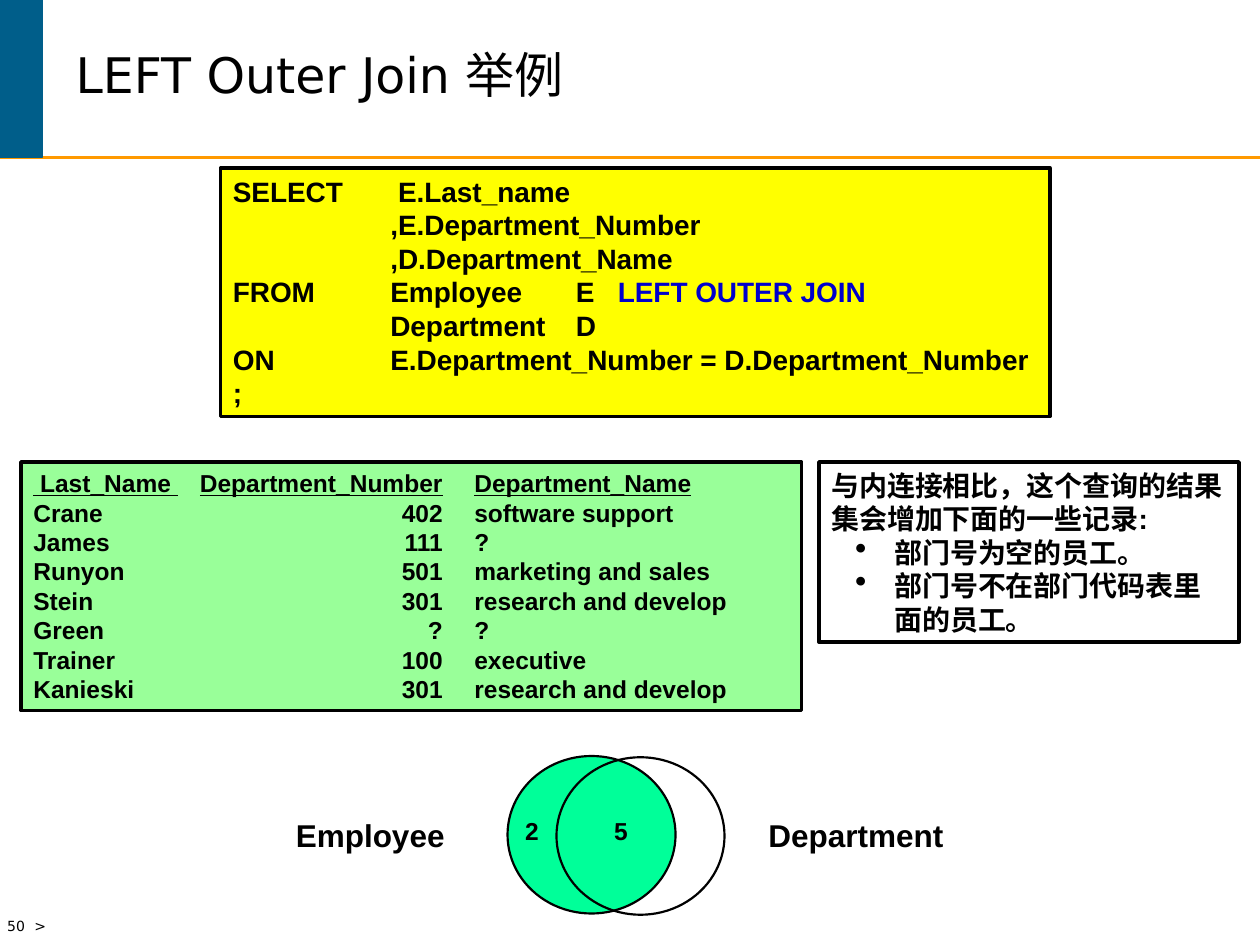
from lxml import etree
from pptx import Presentation
from pptx.dml.color import RGBColor
from pptx.enum.shapes import MSO_CONNECTOR, MSO_SHAPE
from pptx.enum.text import MSO_ANCHOR, PP_ALIGN
from pptx.oxml.ns import qn
from pptx.util import Pt

RECT, OVAL = MSO_SHAPE.RECTANGLE, MSO_SHAPE.OVAL
STRAIGHT = MSO_CONNECTOR.STRAIGHT
TOP, MIDDLE = MSO_ANCHOR.TOP, MSO_ANCHOR.MIDDLE
LEFT = PP_ALIGN.LEFT

COLORS = {
    "text": "000000", "keyword": "0000CC", "bar": "005E8A", "rule": "FF9900",
    "query": "FFFF00", "result": "99FF99", "note": "FFFFFF", "matched": "00FF99",
}
BODY_FONT, TITLE_FONT = "Arial", "DejaVu Sans"

QUERY = [
    ["SELECT\t E.Last_name"],
    ["\t,E.Department_Number"],
    ["\t,D.Department_Name"],
    ["FROM\tEmployee\tE\t", "LEFT OUTER JOIN"],
    ["\tDepartment\tD"],
    ["ON\tE.Department_Number = D.Department_Number"],
    [";"],
]
HEADINGS = [" Last_Name ", "\t", "Department_Number", "\t", "Department_Name"]
EMPLOYEES = [
    ("Crane", "402", "software support"),
    ("James", "111", "?"),
    ("Runyon", "501", "marketing and sales"),
    ("Stein", "301", "research and develop"),
    ("Green", "?", "?"),
    ("Trainer", "100", "executive"),
    ("Kanieski", "301", "research and develop"),
]
NOTE = "与内连接相比，这个查询的结果集会增加下面的一些记录:"
ADDED_RECORDS = ["部门号为空的员工。", "部门号不在部门代码表里面的员工。"]


def rgb(name):
    return RGBColor.from_string(COLORS[name])


def add_tabs(paragraph, stops):
    tab_list = etree.SubElement(paragraph._p.get_or_add_pPr(), qn("a:tabLst"))
    for position, align in stops:
        etree.SubElement(tab_list, qn("a:tab"), pos=str(Pt(position)), algn=align)


def add_bullet(paragraph):
    props = paragraph._p.get_or_add_pPr()
    props.set("marL", str(Pt(36)))
    props.set("indent", str(Pt(-22.5)))
    etree.SubElement(props, qn("a:buSzPct"), val="120000")
    etree.SubElement(props, qn("a:buChar"), char="•")


def style_runs(paragraph, size, font=BODY_FONT, bold=True):
    paragraph.alignment = LEFT
    for run in paragraph.runs:
        run.font.size, run.font.name, run.font.bold = Pt(size), font, bold
        run.font.color.rgb = rgb("text")


def fill_text(frame, lines, size, stops=(), font=BODY_FONT, bold=True):
    """Write lines, each a list of run texts, and return the paragraphs."""
    frame.word_wrap = True
    frame.vertical_anchor = TOP
    for index, pieces in enumerate(lines):
        paragraph = frame.paragraphs[0] if index == 0 else frame.add_paragraph()
        if stops:
            add_tabs(paragraph, stops)
        for piece in pieces:
            paragraph.add_run().text = piece
        style_runs(paragraph, size, font, bold)
    return frame.paragraphs


def add_figure(slide, kind, box, fill=None, line="text", width=2):
    figure = slide.shapes.add_shape(kind, *map(Pt, box))
    figure.shadow.inherit = False
    if fill:
        figure.fill.solid()
        figure.fill.fore_color.rgb = rgb(fill)
    else:
        figure.fill.background()
    figure.line.color.rgb = rgb(line)
    figure.line.width = Pt(width)
    return figure


def add_label(slide, box, text, size, stops=(), font=BODY_FONT, bold=True):
    label = slide.shapes.add_textbox(*map(Pt, box))
    fill_text(label.text_frame, [[text]], size, stops, font, bold)


def header(slide, box):
    left, top, width, height = box
    # Orange rule and blue corner bar
    rule = slide.shapes.add_connector(
        STRAIGHT, Pt(left), Pt(top + height), Pt(left + width), Pt(top + height))
    rule.line.color.rgb = rgb("rule")
    rule.line.width = Pt(1.5)
    etree.SubElement(rule._element.spPr, qn("a:effectLst"))
    add_figure(slide, RECT, (left, top, 24, height), "bar", "bar", 1)
    # Title
    title = slide.shapes.title
    title.left, title.top = Pt(left + 36), Pt(top + 12)
    title.width, title.height = Pt(546), Pt(66)
    title.text_frame.text = "LEFT Outer Join 举例"
    title.text_frame.vertical_anchor = MIDDLE
    heading = title.text_frame.paragraphs[0]
    heading.line_spacing = 0.85
    style_runs(heading, 28, TITLE_FONT, False)


def query_panel(slide, box):
    panel = add_figure(slide, RECT, box, "query")
    stops = [(90, "l"), (196, "l"), (220, "l")]
    lines = fill_text(panel.text_frame, QUERY, 16, stops)
    lines[3].runs[1].font.color.rgb = rgb("keyword")


def result_panel(slide, box):
    panel = add_figure(slide, RECT, box, "result")
    rows = [HEADINGS] + [["\t".join(employee)] for employee in EMPLOYEES]
    lines = fill_text(panel.text_frame, rows, 14, [(234, "r"), (252, "l")])
    for heading in lines[0].runs[::2]:
        heading.font.underline = True


def note_panel(slide, box):
    frame = add_figure(slide, RECT, box, "note").text_frame
    fill_text(frame, [[NOTE]], 16)
    for record in ADDED_RECORDS:
        item = frame.add_paragraph()
        item.level = 1
        add_bullet(item)
        item.text = record
        style_runs(item, 16)


def venn_diagram(slide, box):
    left, top, width, height = box
    label_top = top + 31
    add_label(slide, (left, label_top, 100, 29), "Employee", 18)
    add_label(slide, (left + width - 115, label_top, 115, 29), "Department", 18)
    # Overlapping sets
    add_figure(slide, OVAL, (left + 128, top, 96, height), "matched", width=1.25)
    add_figure(slide, OVAL, (left + 156, top + 0.7, 96, height), width=1.25)
    # Row counts: unmatched and matched
    add_label(slide, (left + 131, label_top, 73, 24), "2\t5", 14, [(50.8, "l")])


def page_number(slide, box):
    add_label(slide, box, "50\t>", 8, [(15.5, "l")], TITLE_FONT, False)


def main():
    deck = Presentation()
    deck.slide_width, deck.slide_height = Pt(720), Pt(540)
    slide = deck.slides.add_slide(deck.slide_layouts[5])
    header(slide, (0, 0, 720, 90))
    page_number(slide, (-3, 521, 99, 19))
    query_panel(slide, (126, 96, 474, 142))
    note_panel(slide, (468, 264, 240, 103))
    result_panel(slide, (12, 264, 446, 142))
    venn_diagram(slide, (162, 432, 385, 90))
    deck.save("out.pptx")


if __name__ == "__main__":
    main()
